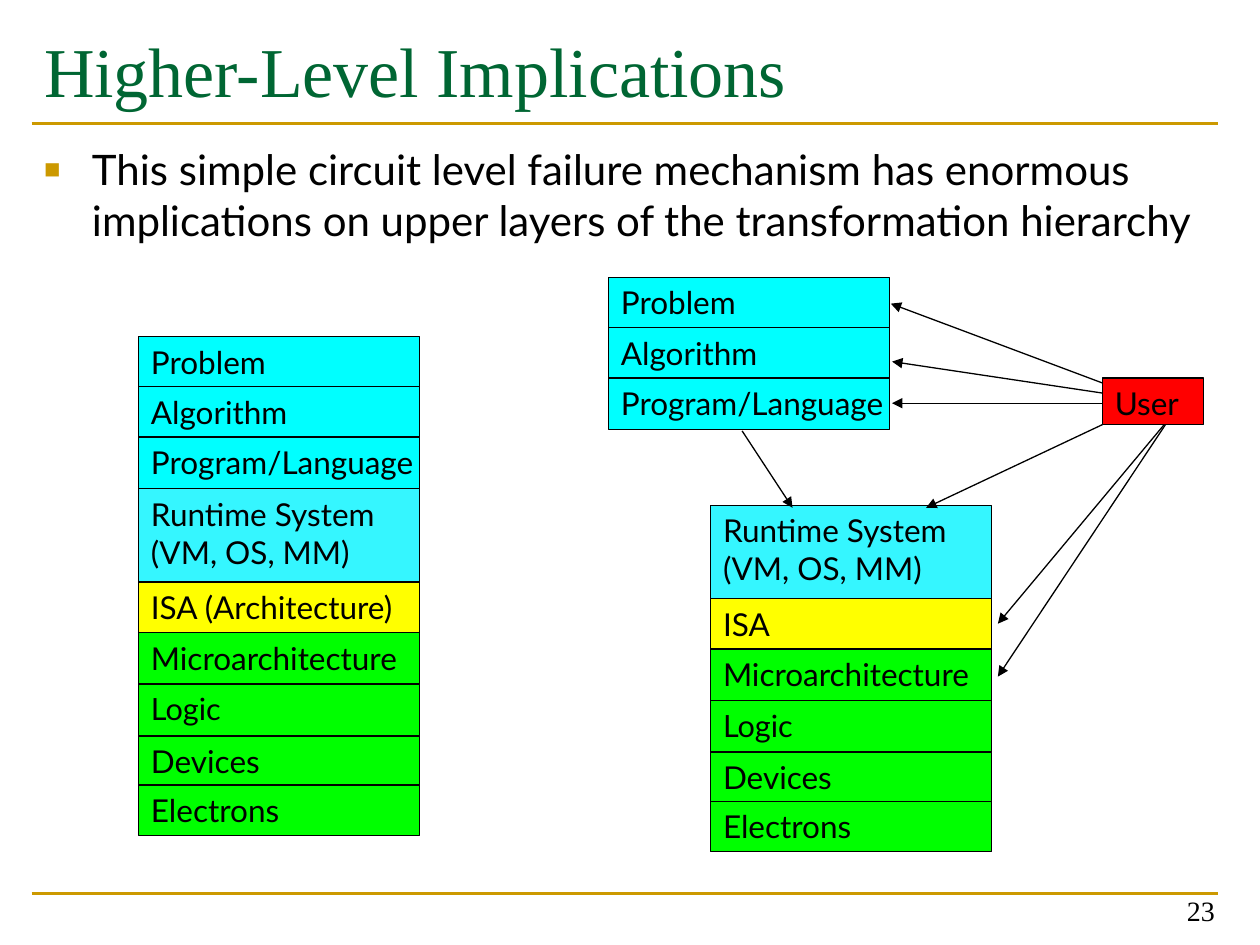
from lxml import etree
from pptx import Presentation
from pptx.dml.color import RGBColor
from pptx.enum.shapes import MSO_CONNECTOR, MSO_SHAPE
from pptx.enum.text import MSO_ANCHOR, MSO_AUTO_SIZE, PP_ALIGN
from pptx.oxml.ns import qn
from pptx.util import Inches, Pt

RECTANGLE = MSO_SHAPE.RECTANGLE
STRAIGHT = MSO_CONNECTOR.STRAIGHT
LEFT, RIGHT = PP_ALIGN.LEFT, PP_ALIGN.RIGHT
TOP, BOTTOM = MSO_ANCHOR.TOP, MSO_ANCHOR.BOTTOM
NO_AUTOFIT = MSO_AUTO_SIZE.NONE

COLUMNS, ROWS = 100, 75
SERIF, SANS = "Times New Roman", "Lato"
BLACK, GOLD, DARK_GREEN = "000000", "CC9900", "006633"
CYAN, AQUA, YELLOW, GREEN, RED = "00FFFF", "35F6FF", "FFFF00", "00FF00", "FF0000"
STACK_WIDTH = 22.3

# Each layer: label, fill, height in rows, text size
SOFTWARE = [
    ("Problem", CYAN, 4, 18),
    ("Algorithm", CYAN, 4, 18),
    ("Program/Language", CYAN, 4.1, 18),
]
RUNTIME = ("Runtime System\n(VM, OS, MM)", AQUA, 7.4, 18)
HARDWARE = [
    ("Microarchitecture", GREEN, 4.1, 18),
    ("Logic", GREEN, 4.1, 17.5),
    ("Devices", GREEN, 3.9, 18),
    ("Electrons", GREEN, 4, 18),
]


def isa_layer(label):
    return (label, YELLOW, 4, 18)


def color(hex_string):
    return RGBColor.from_string(hex_string)


def write_text(text_frame, text, size=18, font=SANS, fill=BLACK, align=LEFT, anchor=TOP):
    text_frame.text = text
    text_frame.word_wrap = True
    text_frame.auto_size = NO_AUTOFIT
    text_frame.vertical_anchor = anchor
    for paragraph in text_frame.paragraphs:
        paragraph.alignment = align
        paragraph.space_before = Pt(0)
        for run in paragraph.runs:
            run.font.size = Pt(size)
            run.font.name = font
            run.font.color.rgb = color(fill)


def add_bullet(paragraph, character, fill, percent, indent):
    properties = paragraph._p.get_or_add_pPr()
    properties.set("marL", str(Inches(indent)))
    properties.set("indent", str(-Inches(indent)))
    bullet_color = etree.SubElement(properties, qn("a:buClr"))
    etree.SubElement(bullet_color, qn("a:srgbClr"), val=fill)
    etree.SubElement(properties, qn("a:buSzPct"), val=str(percent * 1000))
    etree.SubElement(properties, qn("a:buChar"), char=character)


class SlideBuilder:
    """Draws on one slide; positions are grid columns and rows."""

    def __init__(self, presentation):
        self.column = presentation.slide_width / COLUMNS
        self.row = presentation.slide_height / ROWS
        self.slide = presentation.slides.add_slide(presentation.slide_layouts[1])

    def area(self, left, top, width, height):
        return (round(left * self.column), round(top * self.row),
                round(width * self.column), round(height * self.row))

    def placeholder(self, index, area, text, **style):
        shape = self.slide.placeholders[index]
        shape.left, shape.top, shape.width, shape.height = self.area(*area)
        write_text(shape.text_frame, text, **style)
        return shape

    def label(self, area, text, **style):
        write_text(self.slide.shapes.add_textbox(*self.area(*area)).text_frame, text, **style)

    def box(self, area, text, fill, **style):
        shape = self.slide.shapes.add_shape(RECTANGLE, *self.area(*area))
        shape.shadow.inherit = False
        shape.fill.solid()
        shape.fill.fore_color.rgb = color(fill)
        shape.line.color.rgb = color(BLACK)
        shape.line.width = Pt(0.75)
        shape.text_frame.margin_right = 0
        write_text(shape.text_frame, text, **style)

    def stack(self, left, top, layers):
        for text, fill, height, size in layers:
            self.box((left, top, STACK_WIDTH, height), text, fill, size=size)
            top += height

    def line(self, start, end, fill=BLACK, width=0.75, arrow=False):
        connector = self.slide.shapes.add_connector(
            STRAIGHT, *self.area(*start, *end))
        connector.line.color.rgb = color(fill)
        connector.line.width = Pt(width)
        if arrow:
            etree.SubElement(connector.line._get_or_add_ln(), qn("a:tailEnd"), type="triangle")
        etree.SubElement(connector._element.spPr, qn("a:effectLst"))


def main():
    presentation = Presentation()
    presentation.slide_width, presentation.slide_height = Inches(10), Inches(7.5)
    builder = SlideBuilder(presentation)

    for rule_row in (9.8, 70.9):
        builder.line((2.5, rule_row), (96.7, rule_row), fill=GOLD, width=1.5)
    builder.placeholder(0, (2.5, 1.7, 94.2, 11.7), "Higher-Level Implications",
                        size=40, font=SERIF, fill=DARK_GREEN)
    body = builder.placeholder(
        1, (2.5, 10.9, 94.2, 56.8),
        "This simple circuit level failure mechanism has enormous "
        "implications on upper layers of the transformation hierarchy", size=24)
    add_bullet(body.text_frame.paragraphs[0], "■", GOLD, percent=65, indent=0.38)
    builder.label((74.1, 69.1, 23.3, 5), "23", size=16, font=SERIF,
                  align=RIGHT, anchor=BOTTOM)

    builder.stack(11, 26.7, [*SOFTWARE, RUNTIME, isa_layer("ISA (Architecture)"), *HARDWARE])
    builder.stack(48.3, 22, SOFTWARE)
    builder.stack(56.4, 40.1, [RUNTIME, isa_layer("ISA"), *HARDWARE])
    builder.box((87.5, 30, 8, 3.7), "User", RED)

    arrows = [
        ((58.9, 34.2), (62.9, 40.3)),  # program to runtime system
        ((87.5, 30.4), (70.7, 24.1)),  # user to each layer
        ((87.5, 31.2), (70.8, 28.7)),
        ((87.5, 32), (70.8, 32)),
        ((87.5, 33.7), (73.5, 40.3)),
        ((92.4, 33.7), (79.2, 49.5)),
        ((92.5, 33.7), (79.2, 53.7)),
    ]
    for start, end in arrows:
        builder.line(start, end, arrow=True)

    presentation.save("out.pptx")


if __name__ == "__main__":
    main()
